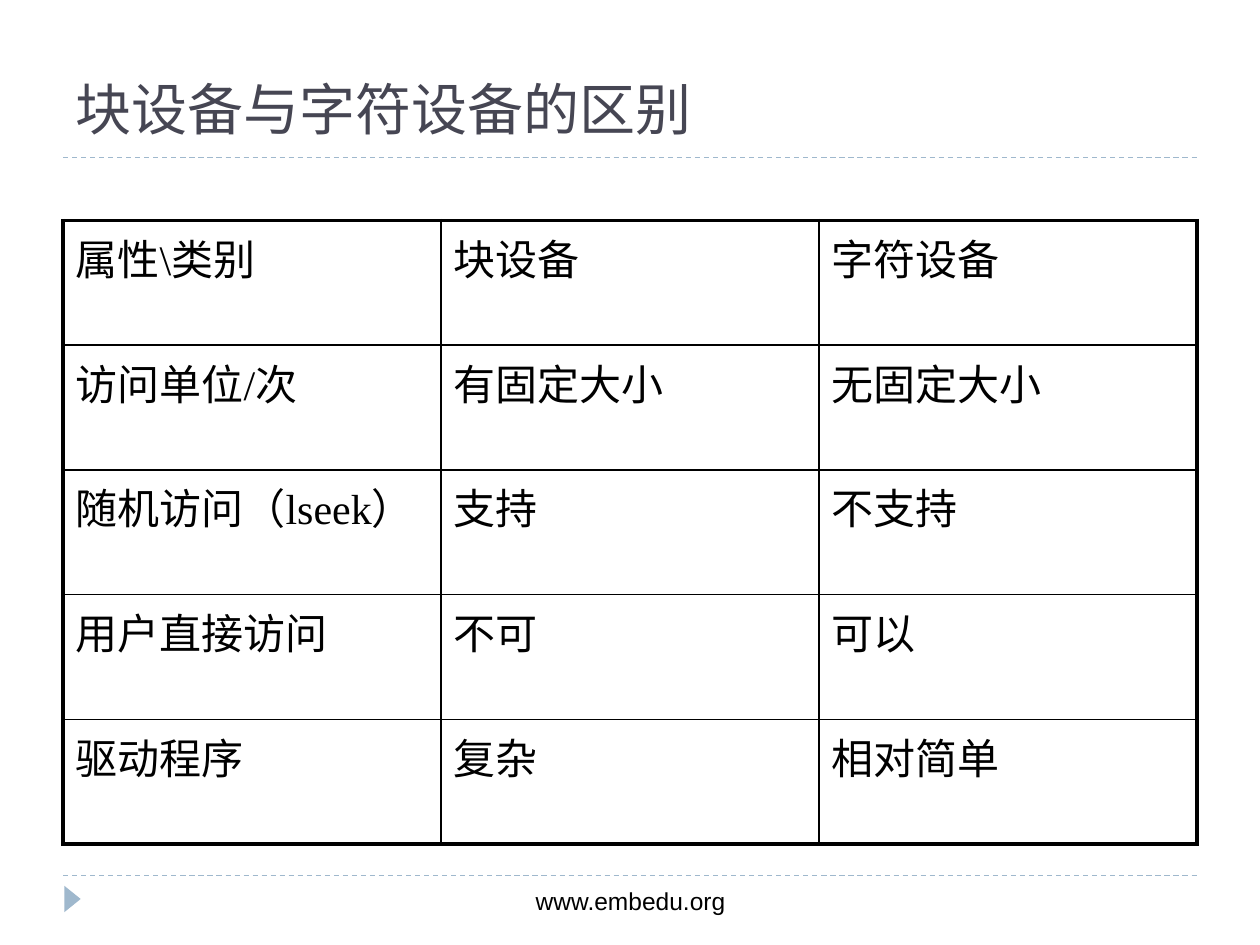
from typing import NamedTuple

from lxml.etree import SubElement
from pptx import Presentation
from pptx.dml.color import RGBColor
from pptx.enum.dml import MSO_LINE
from pptx.enum.shapes import MSO_CONNECTOR, MSO_SHAPE
from pptx.enum.text import MSO_ANCHOR, PP_ALIGN
from pptx.oxml.ns import qn
from pptx.util import Inches, Pt

WIDE, HIGH = 10, 7.5
EDGE = 0.05  # side margin as a share of the width
INK, BLUE, SLATE = "000000", "9FB8CD", "464653"
THICK, THIN = 2.25, 1

ROWS = [
    ("属性\\类别", "块设备", "字符设备"),
    ("访问单位/次", "有固定大小", "无固定大小"),
    ("随机访问（lseek）", "支持", "不支持"),
    ("用户直接访问", "不可", "可以"),
    ("驱动程序", "复杂", "相对简单"),
]


class Box(NamedTuple):
    """Left, top, width and height in inches."""
    x: float
    y: float
    w: float
    h: float

    def emu(self) -> list:
        return [Inches(v) for v in self]


class Label(NamedTuple):
    text: str
    box: Box
    size: int
    tint: str
    align: PP_ALIGN
    anchor: MSO_ANCHOR


LEFT, SPAN = EDGE * WIDE, (1 - 2 * EDGE) * WIDE
GRID = Box(LEFT, 1.75, SPAN, 4.95)
RULES = (1.25, 6.95)
LABELS = [
    Label("www.embedu.org", Box(3.42, 6.98, 3.17, 0.52), 14, INK,
          PP_ALIGN.CENTER, MSO_ANCHOR.TOP),
    Label("块设备与字符设备的区别", Box(LEFT, 0.47, SPAN, 0.77), 32, SLATE,
          PP_ALIGN.LEFT, MSO_ANCHOR.MIDDLE),
]


def shade(tint: str) -> RGBColor:
    return RGBColor.from_string(tint)


def write(frame, text: str, size: int, face: str, tint: str) -> None:
    run = frame.paragraphs[0].add_run()
    run.text = text
    run.font.size, run.font.name = Pt(size), face
    run.font.color.rgb = shade(tint)


def draw_rule(slide, y: float) -> None:
    rule = slide.shapes.add_connector(
        MSO_CONNECTOR.STRAIGHT, Inches(LEFT), Inches(y),
        Inches(LEFT + SPAN), Inches(y))
    rule.line.color.rgb = shade(BLUE)
    rule.line.width = Pt(0.75)
    rule.line.dash_style = MSO_LINE.DASH
    SubElement(rule._element.spPr, qn("a:effectLst"))


def draw_mark(slide, box: Box) -> None:
    mark = slide.shapes.add_shape(MSO_SHAPE.ISOSCELES_TRIANGLE, *box.emu())
    mark.rotation = 90
    mark.shadow.inherit = False
    mark.fill.solid()
    mark.fill.fore_color.rgb = shade(BLUE)
    mark.line.fill.background()


def draw_label(slide, item: Label) -> None:
    frame = slide.shapes.add_textbox(*item.box.emu()).text_frame
    frame.word_wrap = True
    frame.vertical_anchor = item.anchor
    frame.paragraphs[0].alignment = item.align
    write(frame, item.text, item.size, "Arial", item.tint)


def add_edge(cell, side: str, width: float) -> None:
    edge = SubElement(cell._tc.get_or_add_tcPr(), qn(f"a:{side}"),
                      w=str(Pt(width)))
    fill = SubElement(edge, qn("a:solidFill"))
    SubElement(fill, qn("a:srgbClr"), val=INK)


def draw_table(slide, rows: list, box: Box) -> None:
    tall, across = len(rows), len(rows[0])
    table = slide.shapes.add_table(tall, across, *box.emu()).table
    table.first_row = table.horz_banding = False
    for col in table.columns:
        col.width = Inches(box.w / across)
    for r, row in enumerate(rows):
        table.rows[r].height = Inches(box.h / tall)
        for c, text in enumerate(row):
            cell = table.cell(r, c)
            write(cell.text_frame, text, 24, "Times New Roman", INK)
            # Thick lines round the outside, thin ones within
            outer = {"lnL": c == 0, "lnR": c == across - 1,
                     "lnT": r == 0, "lnB": r == tall - 1}
            for side, out in outer.items():
                add_edge(cell, side, THICK if out else THIN)
            cell.fill.background()


def main() -> None:
    deck = Presentation()
    deck.slide_width, deck.slide_height = Inches(WIDE), Inches(HIGH)
    slide = deck.slides.add_slide(deck.slide_layouts[6])

    # Frame: dashed rules and corner mark
    for y in RULES:
        draw_rule(slide, y)
    draw_mark(slide, Box(0.47, 7.07, 0.21, 0.13))

    # Footer, title and comparison
    for item in LABELS:
        draw_label(slide, item)
    draw_table(slide, ROWS, GRID)
    deck.save("out.pptx")


if __name__ == "__main__":
    main()
